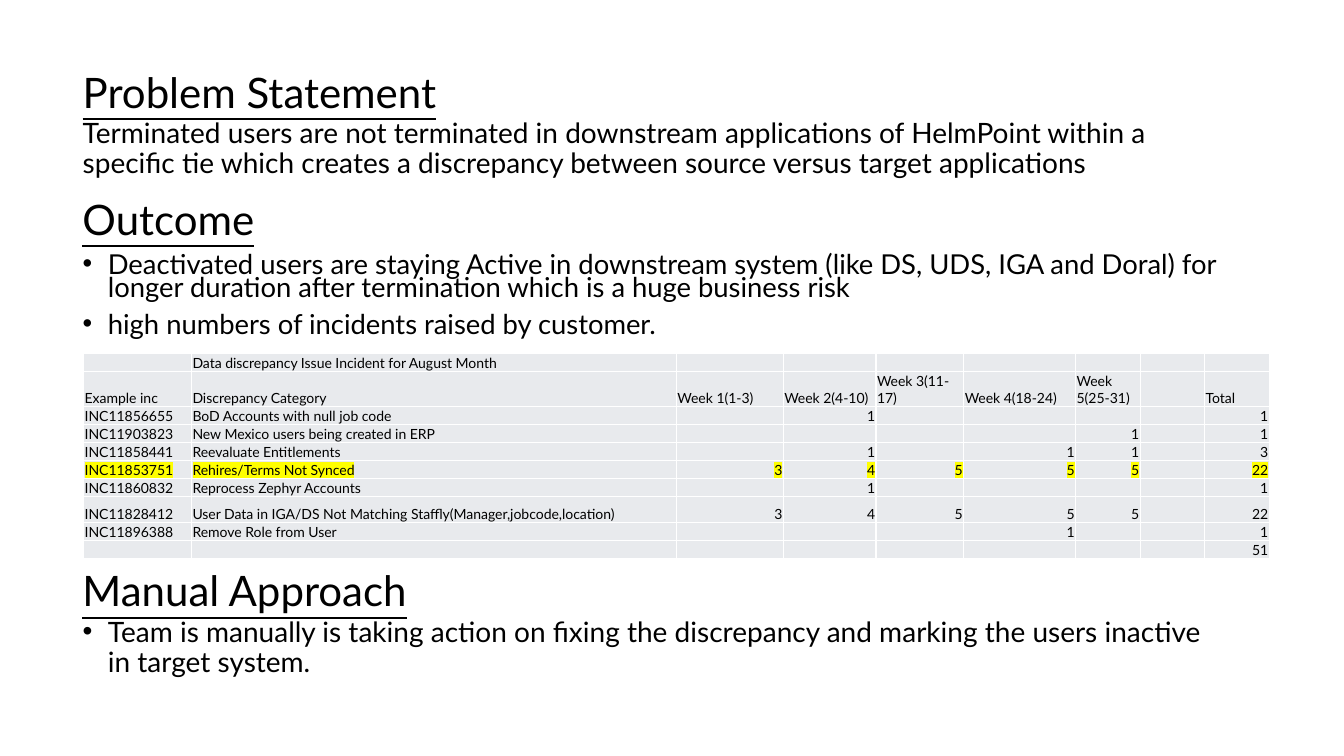
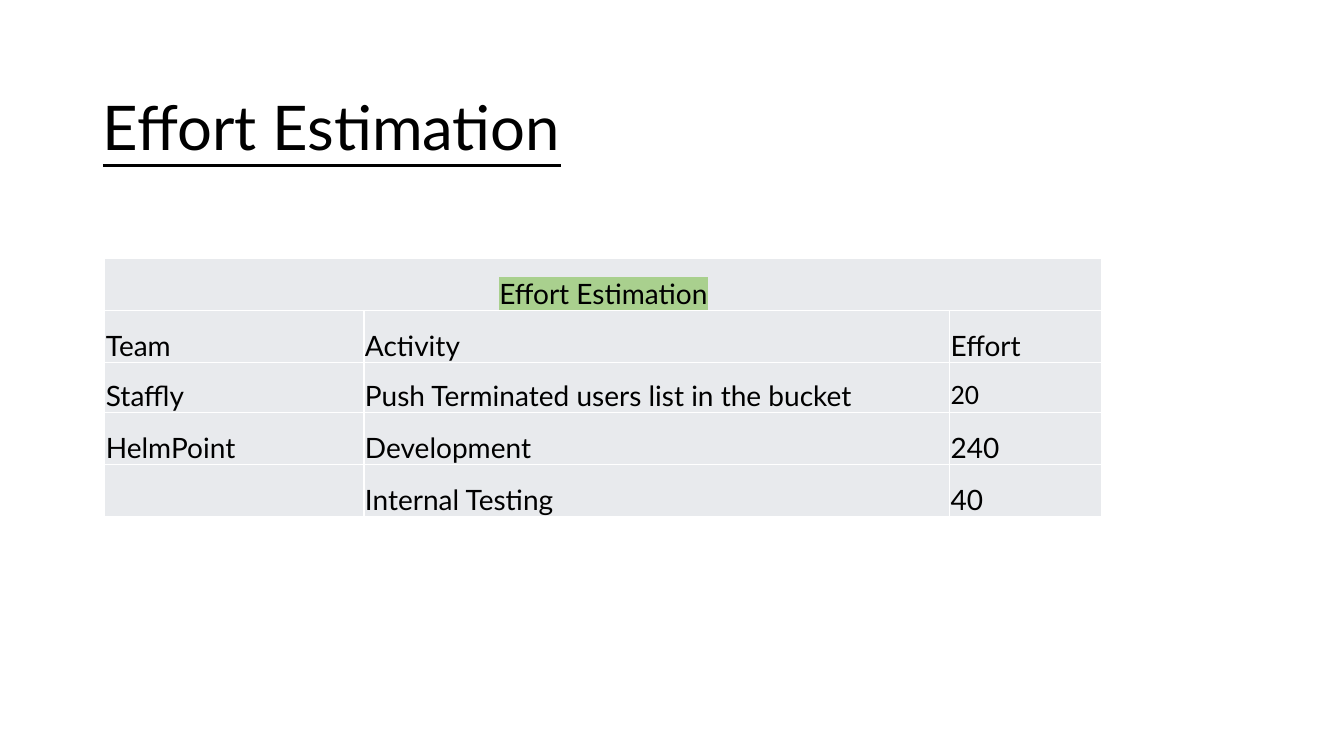
from lxml import etree
from pptx import Presentation
from pptx import util as u
from pptx.dml.color import RGBColor
from pptx.enum import text
from pptx.oxml import ns

COLOURS = {
    "ink": "000000",
    "cell": "E8EAED",
    "border": "FFFFFF",
    "yellow": "FFFF00",
    "green": "A9D08E",
}
LEFT, CENTRE, RIGHT = text.PP_ALIGN.LEFT, text.PP_ALIGN.CENTER, text.PP_ALIGN.RIGHT
TITLE_ONLY, COMPARISON = 5, 4


def px(length):
    return u.Emu(length * 9144)


def assign(target, values):
    for name, value in values.items():
        setattr(target, name, value)


def child(parent, tag, **attributes):
    return etree.SubElement(parent, ns.qn(tag), attributes)


class SlideWriter:
    font = "Lato"
    title_size = 30
    body_size = 20

    def __init__(self, deck):
        self.deck = deck
        self.page = None

    def new_page(self, layout):
        self.page = self.deck.slides.add_slide(self.deck.slide_layouts[layout])

    def span(self, para, words, size, font=None, underline=False, highlight=None):
        run = para.add_run()
        run.text = words
        assign(run.font, {
            "name": font or self.font,
            "size": u.Pt(size),
            "bold": False,
            "underline": underline,
        })
        run.font.color.rgb = RGBColor.from_string(COLOURS["ink"])
        if highlight:
            properties = run.font._element
            mark = etree.Element(ns.qn("a:highlight"))
            child(mark, "a:srgbClr", val=COLOURS[highlight])
            properties.find(ns.qn("a:solidFill")).addnext(mark)

    def place(self, box, area, anchor):
        assign(box, dict(zip(("left", "top", "width", "height"), map(px, area))))
        assign(box.text_frame, {
            "word_wrap": True,
            "auto_size": text.MSO_AUTO_SIZE.NONE,
            "vertical_anchor": anchor,
        })
        return box.text_frame

    def heading(self, words, area, size=title_size, box=None):
        box = box or self.page.shapes.add_textbox(*map(px, area))
        para = self.place(box, area, text.MSO_ANCHOR.MIDDLE).paragraphs[0]
        assign(para, {"alignment": LEFT, "line_spacing": 0.9})
        self.span(para, words, size, underline=True)

    def title(self, words, area, size=title_size):
        self.heading(words, area, size, self.page.shapes.title)

    def body(self, slot, lines, area, size=body_size, spacing=0.9, bullet=True):
        frame = self.place(self.page.placeholders[slot], area, text.MSO_ANCHOR.TOP)
        for number, words in enumerate(lines):
            para = frame.add_paragraph() if number else frame.paragraphs[0]
            assign(para, {
                "alignment": LEFT,
                "line_spacing": spacing,
                "space_before": u.Pt(10),
                "space_after": u.Pt(0),
            })
            properties = para._p.get_or_add_pPr()
            indent = px(25) if bullet else 0
            properties.set("marL", str(indent))
            properties.set("indent", str(-indent))
            if bullet:
                child(properties, "a:buFont", typeface="Arial")
                child(properties, "a:buChar", char="•")
            else:
                child(properties, "a:buNone")
            self.span(para, words, size)

    def cell(self, cell, words, size, align, font, highlight):
        assign(cell, {
            "vertical_anchor": text.MSO_ANCHOR.BOTTOM,
            "margin_left": px(1),
            "margin_top": px(1),
            "margin_right": px(1),
            "margin_bottom": 0,
        })
        cell.fill.solid()
        cell.fill.fore_color.rgb = RGBColor.from_string(COLOURS["cell"])
        properties = cell._tc.get_or_add_tcPr()
        for position, side in enumerate(("L", "R", "T", "B")):
            line = etree.Element(ns.qn("a:ln" + side), w=str(u.Pt(1)))
            child(child(line, "a:solidFill"), "a:srgbClr", val=COLOURS["border"])
            properties.insert(position, line)
        para = cell.text_frame.paragraphs[0]
        para.alignment = align
        if words:
            self.span(para, words, size, font, highlight=highlight)
        else:
            child(para._p, "a:endParaRPr", sz=str(size * 100))

    def table(self, rows, corner, widths, heights, size, number_align=LEFT,
              highlights=None, fonts=None, banner=False):
        area = (*corner, sum(widths), sum(heights))
        grid = self.page.shapes.add_table(len(rows), len(widths), *map(px, area)).table
        assign(grid, {"first_row": False, "horz_banding": False})
        for column, width in zip(grid.columns, widths):
            column.width = px(width)
        for line, height in zip(grid.rows, heights):
            line.height = px(height)
        if banner:
            grid.cell(0, 0).merge(grid.cell(0, len(widths) - 1))
        for r, row in enumerate(rows):
            for c in range(len(widths)):
                words = row[c] if c < len(row) else ""
                align = number_align if words.isdigit() else LEFT
                if banner and r == 0:
                    align = CENTRE
                self.cell(grid.cell(r, c), words, size, align,
                          (fonts or {}).get((r, c)), (highlights or {}).get(r))

    def remove_empty(self):
        for box in list(self.page.placeholders):
            if box.has_text_frame and not box.text_frame.text:
                box._element.getparent().remove(box._element)


INCIDENTS = [
    ("", "Data discrepancy Issue Incident for August Month"),
    ("Example inc", "Discrepancy Category", "Week 1(1-3)", "Week 2(4-10)",
     "Week 3(11-17)", "Week 4(18-24)", "Week 5(25-31)", "", "Total"),
    ("INC11856655", "BoD Accounts with null job code", "", "1", "", "", "", "", "1"),
    ("INC11903823", "New Mexico users being created in ERP", "", "", "", "", "1", "", "1"),
    ("INC11858441", "Reevaluate Entitlements", "", "1", "", "1", "1", "", "3"),
    ("INC11853751", "Rehires/Terms Not Synced", "3", "4", "5", "5", "5", "", "22"),
    ("INC11860832", "Reprocess Zephyr Accounts", "", "1", "", "", "", "", "1"),
    ("INC11828412", "User Data in IGA/DS Not Matching Staffly(Manager,jobcode,location)",
     "3", "4", "5", "5", "5", "", "22"),
    ("INC11896388", "Remove Role from User", "", "", "", "1", "", "", "1"),
    ("", "", "", "", "", "", "", "", "51"),
]
EFFORTS = [
    ("Effort Estimation",),
    ("Team", "Activity", "Effort"),
    ("Staffly", "Push Terminated users list in the bucket", "20"),
    ("HelmPoint", "Development", "240"),
    ("", "Internal Testing", "40"),
]


def problem_page(writer):
    writer.new_page(COMPARISON)
    writer.title("Problem Statement", (72, 54, 983, 80))
    writer.body(1, [
        "Terminated users are not terminated in downstream applications of HelmPoint within a "
        "specific tie which creates a discrepancy between source versus target applications",
    ], (72, 113, 1150, 80), bullet=False)
    writer.heading("Outcome", (72, 180, 1000, 80))
    writer.body(2, [
        "Deactivated users are staying Active in downstream system (like DS, UDS, IGA and Doral) "
        "for longer duration after termination which is a huge business risk",
        "high numbers of incidents raised by customer.",
    ], (72, 249, 1150, 103), size=19.6, spacing=0.7)
    writer.heading("Manual Approach", (72, 557, 983, 63))
    writer.body(4, [
        "Team is manually is taking action on fixing the discrepancy and marking the users "
        "inactive in target system.",
    ], (72, 608, 1150, 103))
    writer.table(INCIDENTS, (83, 351), (107, 481, 106, 92, 87, 111, 64, 64, 64),
                 (15, 30, 15, 15, 15, 15, 15, 26, 15, 15), 10,
                 number_align=RIGHT, highlights={5: "yellow"})
    writer.remove_empty()


def effort_page(writer):
    writer.new_page(TITLE_ONLY)
    writer.title("Effort Estimation", (92, 89, 1014, 80), size=44)
    writer.table(EFFORTS, (104, 256), (257, 581, 151), (52, 52, 49, 52, 52), 20,
                 highlights={0: "green"}, fonts={(2, 2): "Calibri"}, banner=True)


def main():
    deck = Presentation()
    assign(deck, {"slide_width": px(1333), "slide_height": px(750)})
    writer = SlideWriter(deck)
    problem_page(writer)
    effort_page(writer)
    deck.save("out.pptx")


if __name__ == "__main__":
    main()
